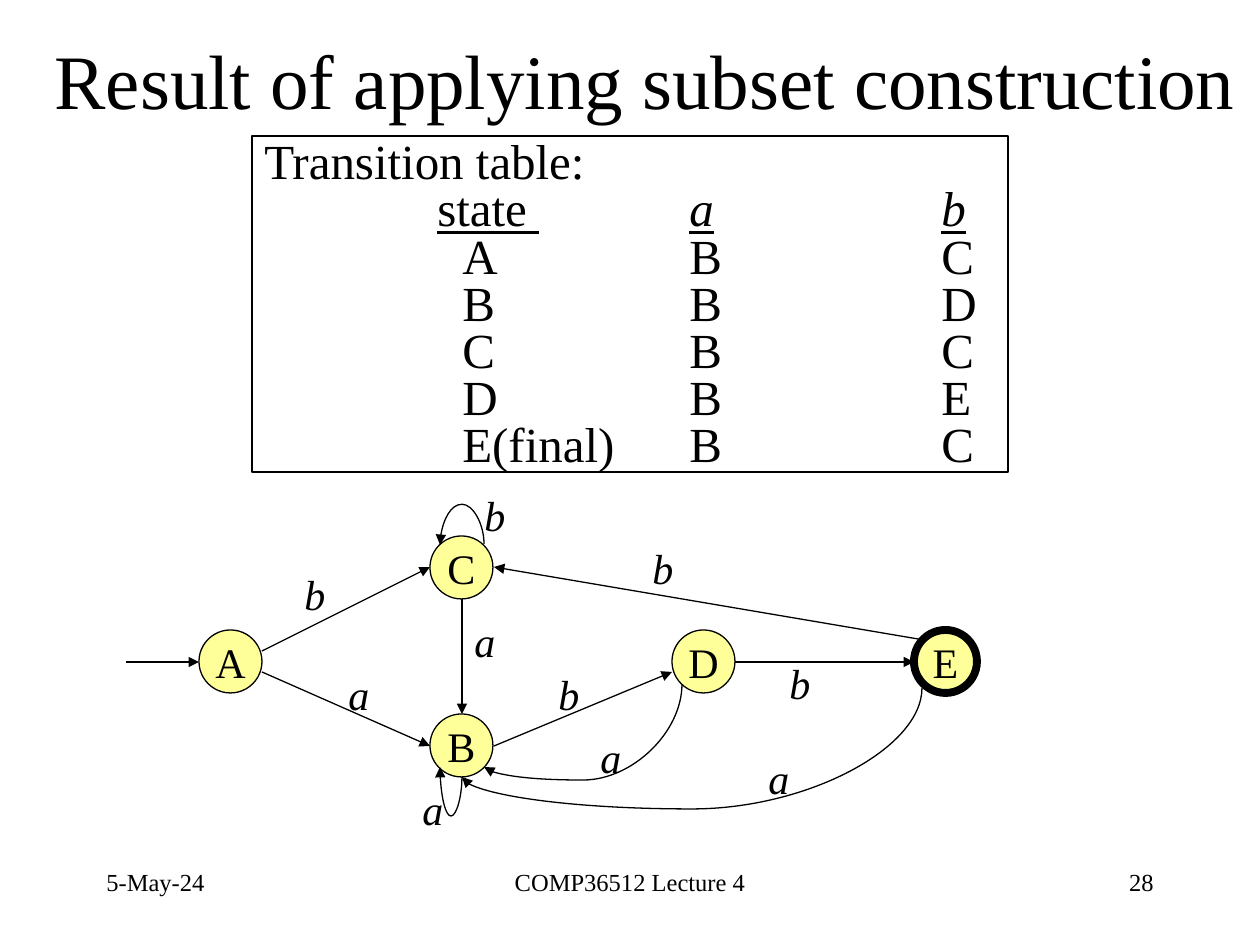
from typing import NamedTuple

from lxml.etree import SubElement
from pptx import Presentation
from pptx.dml.color import RGBColor
from pptx.enum.shapes import MSO_CONNECTOR, MSO_SHAPE
from pptx.enum.text import MSO_ANCHOR, PP_ALIGN
from pptx.oxml.ns import qn
from pptx.util import Emu, Pt

FONT = "Times New Roman"
BLACK = RGBColor(0x00, 0x00, 0x00)
YELLOW = RGBColor(0xFF, 0xFF, 0x99)
PX_PER_INCH = 126
NODE_SIZE = 63


class Label(NamedTuple):
    text: str
    x: int
    y: int
    w: int
    h: int
    size: int
    align: PP_ALIGN = PP_ALIGN.LEFT
    italic: bool = False
    wrap: bool = True
    anchor: MSO_ANCHOR = MSO_ANCHOR.TOP


class Node(NamedTuple):
    name: str
    x: int
    y: int
    line: float = 0.75


class Edge(NamedTuple):
    x1: int
    y1: int
    x2: int
    y2: int


class Curve(NamedTuple):
    x1: int
    y1: int
    x2: int
    y2: int
    bend_y: int


LABELS = [
    Label("5-May-24", 94, 861, 263, 63, 14),
    Label("COMP36512 Lecture 4", 430, 861, 400, 63, 14, PP_ALIGN.CENTER),
    Label("28", 903, 861, 263, 63, 14, PP_ALIGN.RIGHT),
    Label("Result of applying subset construction", 31, 21, 1229, 116, 44,
          PP_ALIGN.CENTER, anchor=MSO_ANCHOR.MIDDLE),
]
NODES = [
    Node("A", 199, 630),
    Node("B", 430, 714),
    Node("D", 672, 630),
    Node("E", 914, 630, 4.5),
    Node("C", 430, 536),
]
EDGES = [
    Edge(262, 672, 430, 746),
    Edge(494, 746, 672, 672),
    Edge(735, 662, 914, 662),
    Edge(262, 651, 430, 567),
    Edge(462, 599, 462, 714),
    Edge(924, 640, 494, 567),
    Edge(126, 662, 199, 662),
]
CURVES = [
    Curve(484, 544, 440, 545, 504),
    Curve(462, 777, 440, 767, 816),
    Curve(922, 688, 462, 777, 809),
    Curve(682, 684, 484, 767, 780),
]
EDGE_LABELS = [
    ("b", 292, 562), ("a", 336, 662), ("a", 462, 609), ("a", 588, 725),
    ("a", 756, 746), ("a", 410, 777), ("b", 640, 536), ("b", 777, 651),
    ("b", 546, 662), ("b", 472, 483),
]
HEADER = ["state ", "a", "b"]
ROWS = ["ABC", "BBD", "CBC", "DBE", ("E(final)", "B", "C")]
HEADER_TABS = [173, 425, 677]
ROW_TABS = [198, 425, 677]


def px(n: float) -> Emu:
    return Emu(round(n * 914400 / PX_PER_INCH))


def style(p, size: int, italic: bool = False) -> None:
    for r in p.runs:
        r.font.name, r.font.size = FONT, Pt(size)
        r.font.color.rgb = BLACK
        r.font.italic = italic


def add_label(s, label: Label) -> None:
    sp = s.shapes.add_textbox(px(label.x), px(label.y), px(label.w), px(label.h))
    tf = sp.text_frame
    tf.word_wrap = label.wrap
    tf.vertical_anchor = label.anchor
    tf.text = label.text
    p = tf.paragraphs[0]
    p.alignment = label.align
    style(p, label.size, label.italic)


def set_tabs(p, stops: list[int]) -> None:
    tabs = SubElement(p._p.get_or_add_pPr(), qn("a:tabLst"))
    for stop in stops:
        SubElement(tabs, qn("a:tab"), pos=str(px(stop)), algn="l")


def add_transition_table(s) -> None:
    sp = s.shapes.add_shape(MSO_SHAPE.RECTANGLE, px(252), px(136), px(756), px(336))
    sp.shadow.inherit = False
    sp.fill.background()
    sp.line.color.rgb, sp.line.width = BLACK, Pt(0.75)
    tf = sp.text_frame
    tf.word_wrap = True
    tf.vertical_anchor = MSO_ANCHOR.TOP
    tf.text = "Transition table:"
    header = tf.add_paragraph()
    for name in HEADER:
        header.add_run().text = "\t"
        header.add_run().text = name
    for row in ROWS:
        tf.add_paragraph().text = "\t" + "\t".join(row)
    for i, p in enumerate(tf.paragraphs):
        p.alignment = PP_ALIGN.LEFT
        p.line_spacing = 0.8
        if i:
            set_tabs(p, HEADER_TABS if i == 1 else ROW_TABS)
        style(p, 28)
    for r in header.runs:
        r.font.underline = r.text in HEADER
        r.font.italic = r.text in HEADER[1:]


def add_node(s, node: Node) -> None:
    sp = s.shapes.add_shape(MSO_SHAPE.OVAL, px(node.x), px(node.y),
                            px(NODE_SIZE), px(NODE_SIZE))
    sp.shadow.inherit = False
    sp.fill.solid()
    sp.fill.fore_color.rgb = YELLOW
    sp.line.color.rgb, sp.line.width = BLACK, Pt(node.line)
    tf = sp.text_frame
    tf.word_wrap = False
    tf.vertical_anchor = MSO_ANCHOR.MIDDLE
    tf.text = node.name
    p = tf.paragraphs[0]
    p.alignment = PP_ALIGN.CENTER
    style(p, 24)


def add_arrow(s, kind: MSO_CONNECTOR, x1: float, y1: float, x2: float, y2: float):
    c = s.shapes.add_connector(kind, px(x1), px(y1), px(x2), px(y2))
    c.line.color.rgb, c.line.width = BLACK, Pt(0.75)
    SubElement(c.line._get_or_add_ln(), qn("a:tailEnd"), type="triangle")
    SubElement(c._element.spPr, qn("a:effectLst"))
    return c


def add_curve(s, curve: Curve) -> None:
    dy = curve.y2 - curve.y1
    w, h = abs(dy), abs(curve.x2 - curve.x1)
    left = (curve.x1 + curve.x2 - w) / 2
    top = (curve.y1 + curve.y2 - h) / 2
    c = add_arrow(s, MSO_CONNECTOR.CURVE, left, top, left + w, top + h)
    spPr = c._element.spPr
    xfrm = spPr.find(qn("a:xfrm"))
    xfrm.set("rot", str(90 * 60000))
    if dy < 0:
        xfrm.set("flipH", "1")
    adj = round((curve.bend_y - curve.y1) / dy * 100000)
    av = spPr.find(qn("a:prstGeom")).find(qn("a:avLst"))
    SubElement(av, qn("a:gd"), name="adj1", fmla=f"val {adj}")


def main() -> None:
    prs = Presentation()
    prs.slide_width, prs.slide_height = px(1260), px(945)
    s = prs.slides.add_slide(prs.slide_layouts[6])
    for label in LABELS:
        add_label(s, label)
    add_transition_table(s)
    for node in NODES:
        add_node(s, node)
    for edge in EDGES:
        add_arrow(s, MSO_CONNECTOR.STRAIGHT, *edge)
    for curve in CURVES:
        add_curve(s, curve)
    for text, x, y in EDGE_LABELS:
        add_label(s, Label(text, x, y, 47, 63, 24, italic=True, wrap=False))
    prs.save("out.pptx")


if __name__ == "__main__":
    main()
